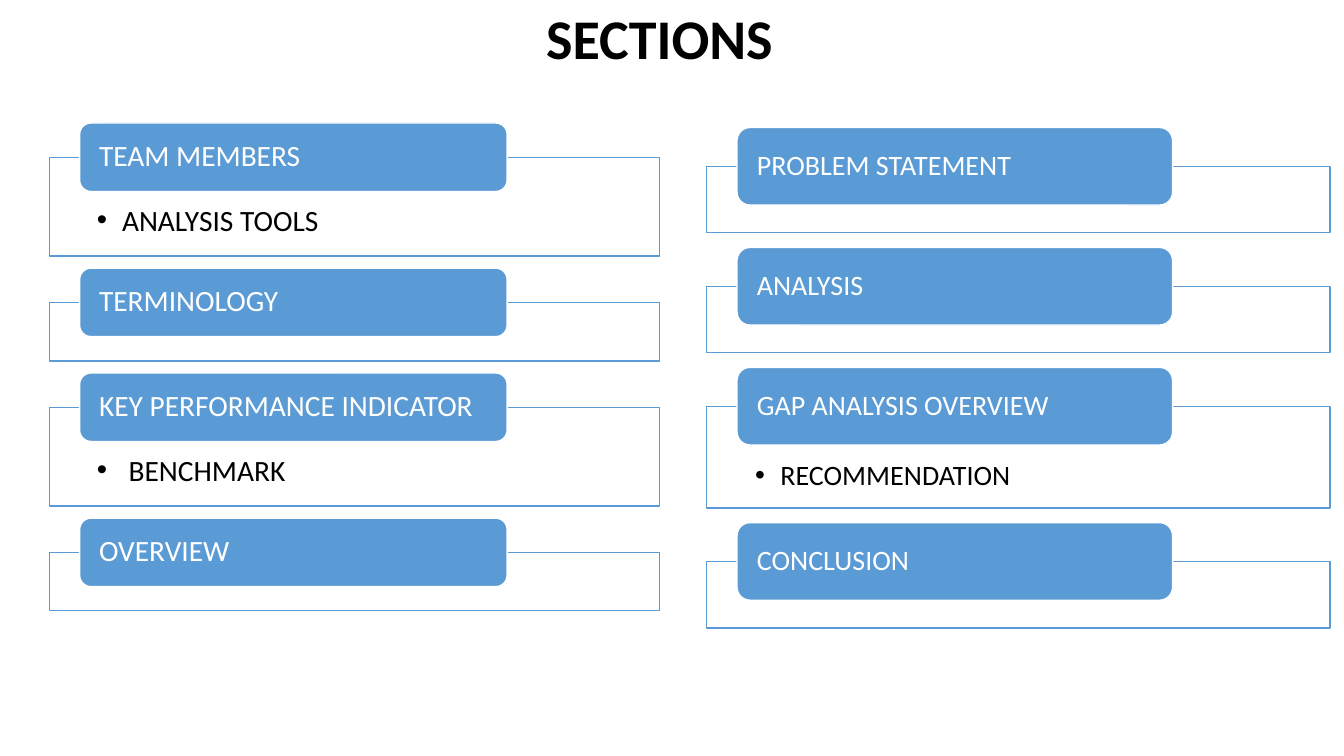
from lxml.etree import SubElement
from pptx import Presentation
from pptx.dml.color import RGBColor
from pptx.enum.shapes import MSO_SHAPE
from pptx.enum.text import MSO_ANCHOR, PP_ALIGN
from pptx.oxml.ns import qn
from pptx.util import Inches, Pt

COLORS = {"blue": "5B9BD5", "white": "FFFFFF", "black": "000000"}


def add_panel(page, kind, left, top, width, height, fill, line):
    box = page.shapes.add_shape(kind, Inches(left), Inches(top), Inches(width), Inches(height))
    box.shadow.inherit = False
    box.fill.solid()
    box.fill.fore_color.rgb = RGBColor.from_string(COLORS[fill])
    box.line.color.rgb = RGBColor.from_string(COLORS[line])
    box.line.width = Pt(1)
    return box


def write(box, text, size, color, align, anchor, insets, bold=False):
    frame = box.text_frame
    frame.word_wrap = True
    frame.vertical_anchor = anchor
    frame.margin_left = frame.margin_right = Inches(insets[0])
    frame.margin_top, frame.margin_bottom = Inches(insets[1]), Inches(insets[2])
    para = frame.paragraphs[0]
    para.alignment = align
    para.line_spacing = 0.9
    span = para.add_run()
    span.text = text
    span.font.name = "Calibri"
    span.font.size = Pt(size)
    span.font.bold = bold
    span.font.color.rgb = RGBColor.from_string(COLORS[color])
    return para


columns = [
    {
        "left": 7.01, "top": 1.65, "width": 6.18, "short": 0.66, "tall": 1.01, "gap": 0.53,
        "tab_left": 7.31, "tab_width": 4.32, "tab_height": 0.77,
        "size": 20, "insets": (0.48, 0.55, 0.16),
        "sections": [
            ("PROBLEM STATEMENT", None),
            ("ANALYSIS", None),
            ("GAP ANALYSIS OVERVIEW", "RECOMMENDATION"),
            ("CONCLUSION", None),
        ],
    },
    {
        "left": 0.49, "top": 1.56, "width": 6.05, "short": 0.58, "tall": 0.98, "gap": 0.46,
        "tab_left": 0.79, "tab_width": 4.24, "tab_height": 0.68,
        "size": 21, "insets": (0.47, 0.48, 0.16),
        "sections": [
            ("TEAM MEMBERS", "ANALYSIS TOOLS"),
            ("TERMINOLOGY", None),
            ("KEY PERFORMANCE INDICATOR", " BENCHMARK"),
            ("OVERVIEW", None),
        ],
    },
]

deck = Presentation()
deck.slide_width = Inches(13.33)
deck.slide_height = Inches(7.5)
page = deck.slides.add_slide(deck.slide_layouts[6])

title = page.shapes.add_textbox(Inches(2.6), Inches(0.1), Inches(7.88), Inches(0.66))
write(title, "SECTIONS", 40, "black", PP_ALIGN.CENTER, MSO_ANCHOR.BOTTOM, (0.1, 0.05, 0.05), True)

for column in columns:
    top = column["top"]
    for heading, detail in column["sections"]:
        height = column["tall"] if detail else column["short"]
        panel = add_panel(page, MSO_SHAPE.RECTANGLE, column["left"], top,
                          column["width"], height, "white", "blue")
        fill_color = panel.fill._xPr.find(qn("a:solidFill"))[0]
        SubElement(fill_color, qn("a:alpha"), val="90000")
        if detail:
            para = write(panel, detail, column["size"], "black", PP_ALIGN.LEFT,
                         MSO_ANCHOR.TOP, column["insets"])
            properties = para._p.get_or_add_pPr()
            properties.set("marL", str(Inches(0.25)))
            properties.set("indent", str(-Inches(0.25)))
            SubElement(properties, qn("a:buFont"), typeface="Arial")
            SubElement(properties, qn("a:buChar"), char="•")

        tab = add_panel(page, MSO_SHAPE.ROUNDED_RECTANGLE, column["tab_left"],
                        top - column["tab_height"] / 2, column["tab_width"],
                        column["tab_height"], "blue", "white")
        write(tab, heading, column["size"], "white", PP_ALIGN.LEFT,
              MSO_ANCHOR.MIDDLE, (0.16, 0, 0))
        top += height + column["gap"]

deck.save("out.pptx")
